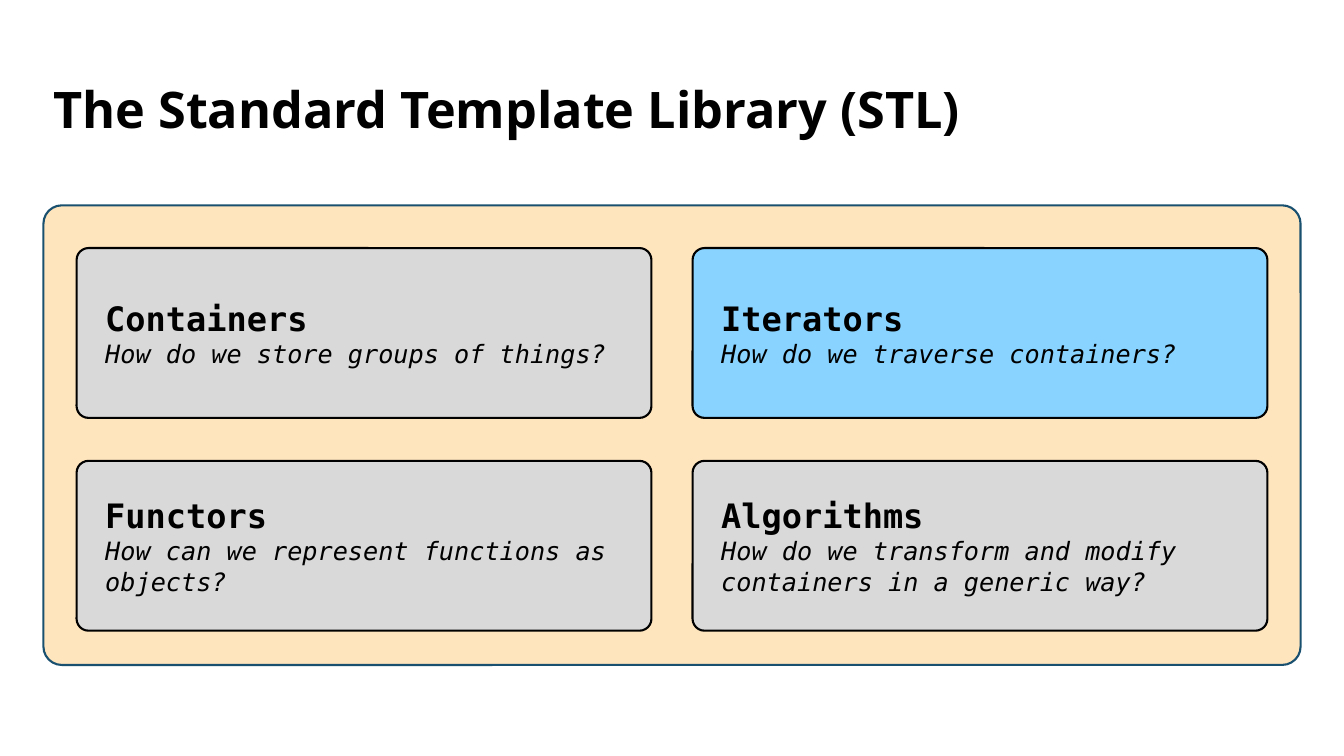
import pptx
import pptx.util
import pptx.dml.color
import pptx.enum.shapes
import pptx.enum.text

Pt = pptx.util.Pt
COLORS = {"text": "000000", "panel": "FFE5BD", "panel_line": "195070",
          "card": "D9D9D9", "highlight": "88D3FF"}
TITLE = {"name": "Open Sans", "size": Pt(36), "bold": True}
HEADING = {"name": "DejaVu Sans Mono", "size": Pt(24), "bold": True}
QUESTION = {"name": "DejaVu Sans Mono", "size": Pt(18), "italic": True}
CARDS = [
    ("Containers", "How do we store groups of things?", "card"),
    ("Iterators", "How do we traverse containers?", "highlight"),
    ("Functors", "How can we represent functions as objects?", "card"),
    ("Algorithms", "How do we transform and modify containers in a generic way?", "card"),
]


def rgb(name):
    """Return the named colour."""
    return pptx.dml.color.RGBColor.from_string(COLORS[name])


def set_frame(shape, inset_x, inset_y):
    """Wrap and centre the text vertically, with the given insets."""
    frame = shape.text_frame
    settings = {"word_wrap": True,
                "vertical_anchor": pptx.enum.text.MSO_ANCHOR.MIDDLE,
                "margin_left": Pt(inset_x), "margin_right": Pt(inset_x),
                "margin_top": Pt(inset_y), "margin_bottom": Pt(inset_y)}
    for key, value in settings.items():
        setattr(frame, key, value)
    return frame


def write(para, text, style):
    """Add left-aligned text in a style to a paragraph."""
    para.alignment = pptx.enum.text.PP_ALIGN.LEFT
    span = para.add_run()
    span.text = text
    for key, value in style.items():
        setattr(span.font, key, value)
    span.font.color.rgb = rgb("text")


def add_title(page, text):
    """Add the slide title."""
    box = page.shapes.add_textbox(Pt(31), Pt(49.7), Pt(897.8), Pt(60.5))
    para = set_frame(box, 7.2, 3.6).paragraphs[0]
    para.line_spacing = 0.9
    write(para, text, TITLE)


def add_rounded(page, left, top, width, height, rounding, fill, line):
    """Add a rounded rectangle with a fill and an outline."""
    box = page.shapes.add_shape(pptx.enum.shapes.MSO_SHAPE.ROUNDED_RECTANGLE,
                                Pt(left), Pt(top), Pt(width), Pt(height))
    box.adjustments[0] = rounding
    box.shadow.inherit = False
    box.fill.solid()
    box.fill.fore_color.rgb = rgb(fill)
    box.line.color.rgb = rgb(line)
    box.line.width = Pt(1.5)
    return box


def add_card(page, left, top, heading, question, fill):
    """Add a card with a heading and its question."""
    box = add_rounded(page, left, top, 410.6, 121.3, 0.07, fill, "text")
    frame = set_frame(box, 18, 18)
    write(frame.paragraphs[0], heading, HEADING)
    write(frame.add_paragraph(), question, QUESTION)


def main():
    """Build and save the slide."""
    deck = pptx.Presentation()
    deck.slide_width, deck.slide_height = Pt(960), Pt(540)
    page = deck.slides.add_slide(deck.slide_layouts[6])
    add_title(page, "The Standard Template Library (STL)")
    add_rounded(page, 31, 146.7, 898, 328.3, 0.04, "panel", "panel_line")
    for index, (heading, question, fill) in enumerate(CARDS):
        row, column = divmod(index, 2)
        add_card(page, 54.7 + 440 * column, 177.2 + 152 * row,
                 heading, question, fill)
    deck.save("out.pptx")


if __name__ == "__main__":
    main()
